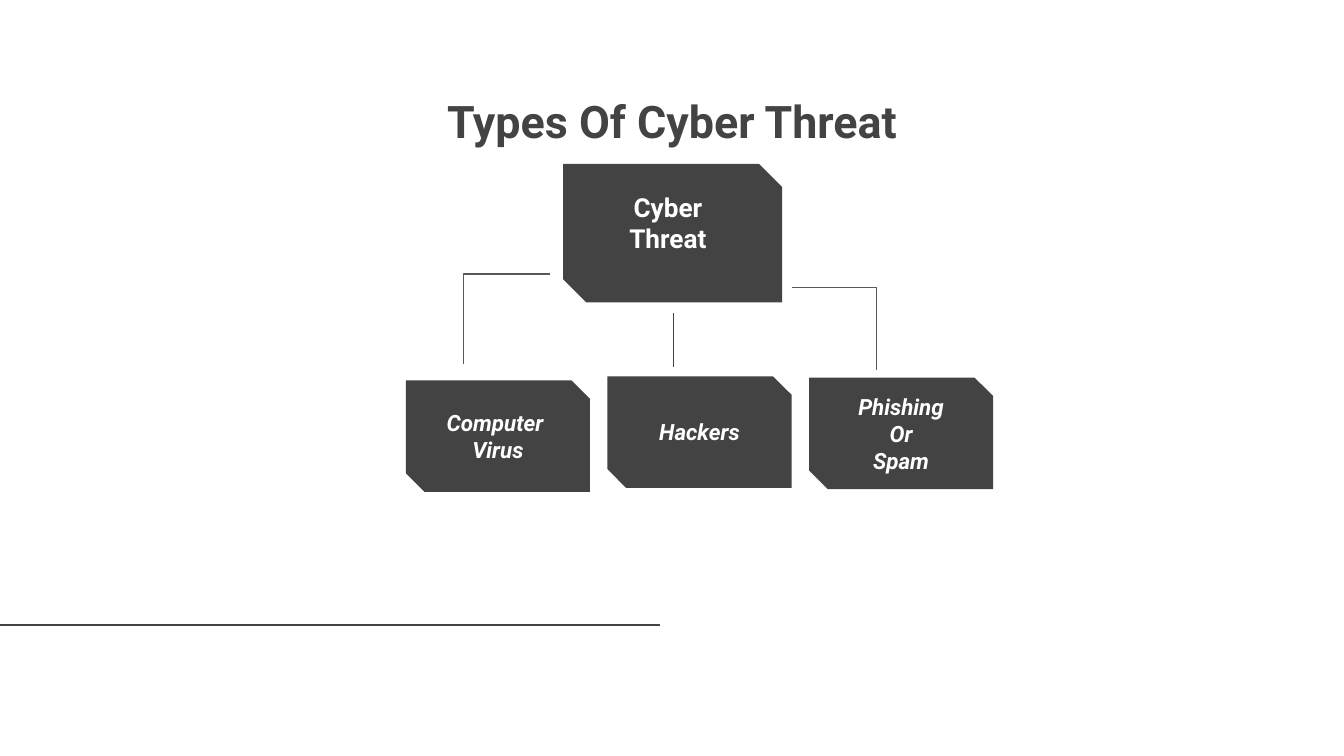
from lxml import etree
from pptx import Presentation
from pptx.dml.color import RGBColor
from pptx.enum.shapes import MSO_CONNECTOR, MSO_SHAPE
from pptx.enum.text import MSO_ANCHOR, PP_ALIGN
from pptx.oxml.ns import qn
from pptx.util import Inches, Pt

STRAIGHT, ELBOW = MSO_CONNECTOR.STRAIGHT, MSO_CONNECTOR.ELBOW
SNIP = MSO_SHAPE.SNIP_2_DIAG_RECTANGLE
TOP, MIDDLE, BOTTOM = MSO_ANCHOR.TOP, MSO_ANCHOR.MIDDLE, MSO_ANCHOR.BOTTOM
CENTER = PP_ALIGN.CENTER

FONT = "Roboto"
COLORS = {"dark": "434343", "gray": "595959", "white": "FFFFFF"}
THREATS = [
    (["Computer ", "Virus"], 2.83),
    (["Hackers"], 2.8),
    (["Phishing", "Or", "Spam"], 2.81),
]


def color(name):
    return RGBColor.from_string(COLORS[name])


def write(shape, lines, size, ink="white", italic=False, anchor=MIDDLE):
    """Fill a shape with centred bold paragraphs, one for each line."""
    frame = shape.text_frame
    frame.word_wrap = True
    frame.vertical_anchor = anchor
    frame.margin_left = frame.margin_right = Inches(0.1)
    frame.margin_top = frame.margin_bottom = Inches(0.1)
    frame.text = "\n".join(lines)
    for para in frame.paragraphs:
        para.alignment = CENTER
        para.line_spacing = 1.0
        para.space_before = Pt(0)
        font = para.runs[0].font
        font.name, font.size = FONT, Pt(size)
        font.bold, font.italic = True, italic
        font.color.rgb = color(ink)


def add_title(slide, text):
    title = slide.shapes.title
    title.left, title.top = Inches(2.15), Inches(0.6)
    title.width, title.height = Inches(5.7), Inches(1.03)
    write(title, [text], 24, ink="dark", anchor=TOP)


def add_card(slide, left, top, width, height):
    card = slide.shapes.add_shape(
        SNIP, Inches(left), Inches(top), Inches(width), Inches(height))
    card.shadow.inherit = False
    card.fill.solid()
    card.fill.fore_color.rgb = color("dark")
    card.line.fill.background()
    return card


def add_line(slide, start, end, kind=STRAIGHT, ink="dark"):
    line = slide.shapes.add_connector(
        kind, *(Inches(value) for value in (*start, *end)))
    line.line.color.rgb = color(ink)
    line.line.width = Pt(0.75)
    etree.SubElement(line._element.spPr, qn("a:effectLst"))
    return line


def add_elbow(slide, start, end):
    """Draw a line that runs level to the end's column, then down."""
    line = add_line(slide, start, end, ELBOW, "gray")
    shape = line._element.spPr.find(qn("a:prstGeom"))
    guides = shape.find(qn("a:avLst"))
    if guides is None:
        guides = etree.SubElement(shape, qn("a:avLst"))
    etree.SubElement(guides, qn("a:gd"), name="adj1", fmla="val 100000")


def main():
    deck = Presentation()
    deck.slide_width = Inches(10)
    deck.slide_height = deck.slide_width * 9 // 16
    slide = deck.slides.add_slide(deck.slide_layouts[0])
    subtitle = slide.placeholders[1]._element
    subtitle.getparent().remove(subtitle)

    add_card(slide, 4.19, 1.22, 1.63, 1.03)
    add_title(slide, "Types Of Cyber Threat")
    add_line(slide, (-0.09, 4.65), (4.91, 4.65))

    add_line(slide, (5.01, 2.33), (5.01, 2.73))
    add_elbow(slide, (4.09, 2.04), (3.45, 2.71))
    add_elbow(slide, (5.89, 2.14), (6.52, 2.75))

    label = slide.shapes.add_textbox(
        Inches(4.19), Inches(1.56), Inches(1.56), Inches(0.43))
    write(label, ["Cyber", "Threat"], 14, anchor=BOTTOM)

    for col, (lines, top) in enumerate(THREATS):
        card = add_card(slide, 3.02 + 1.5 * col, top, 1.37, 0.83)
        write(card, lines, 12, italic=True)

    deck.save("out.pptx")


if __name__ == "__main__":
    main()
